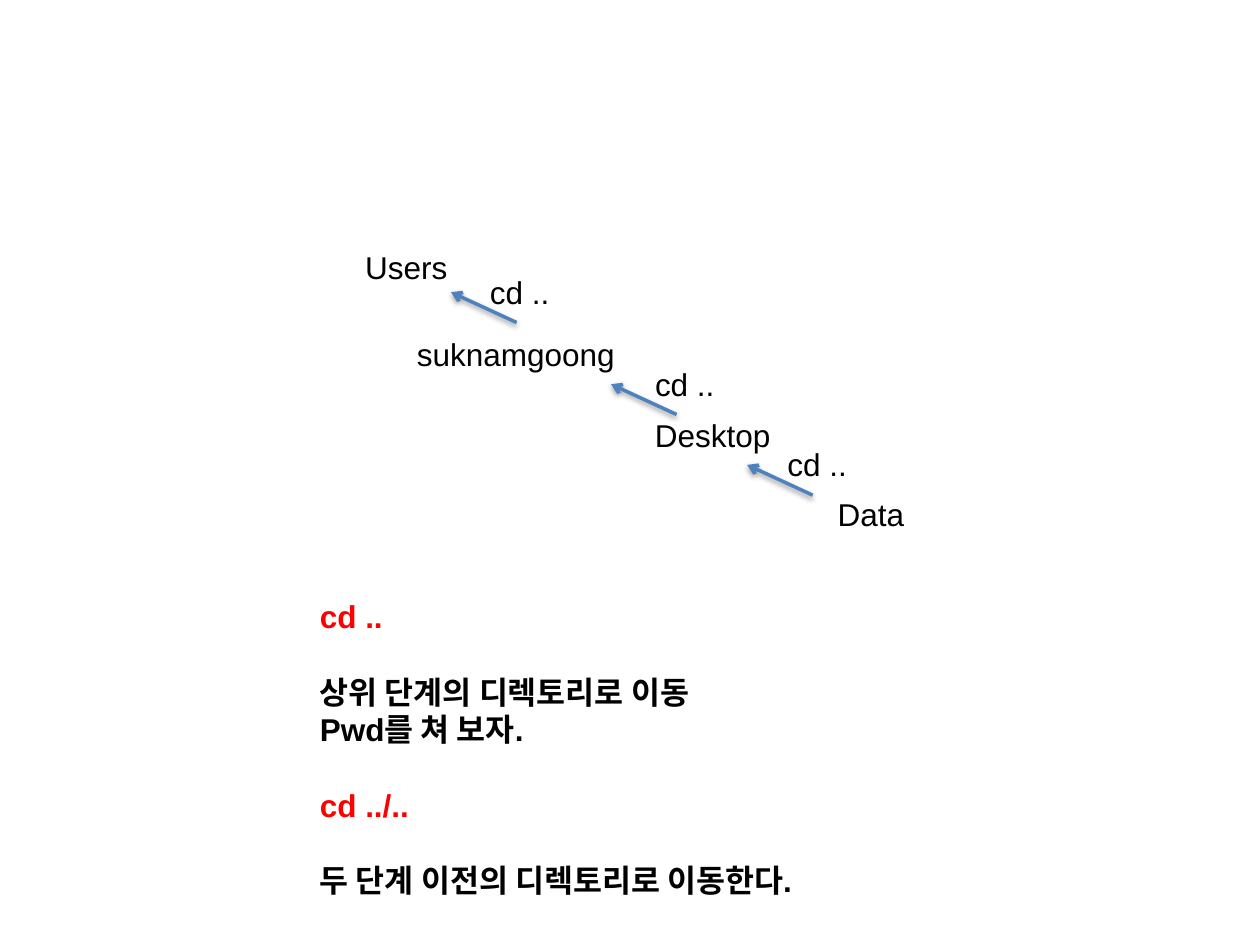
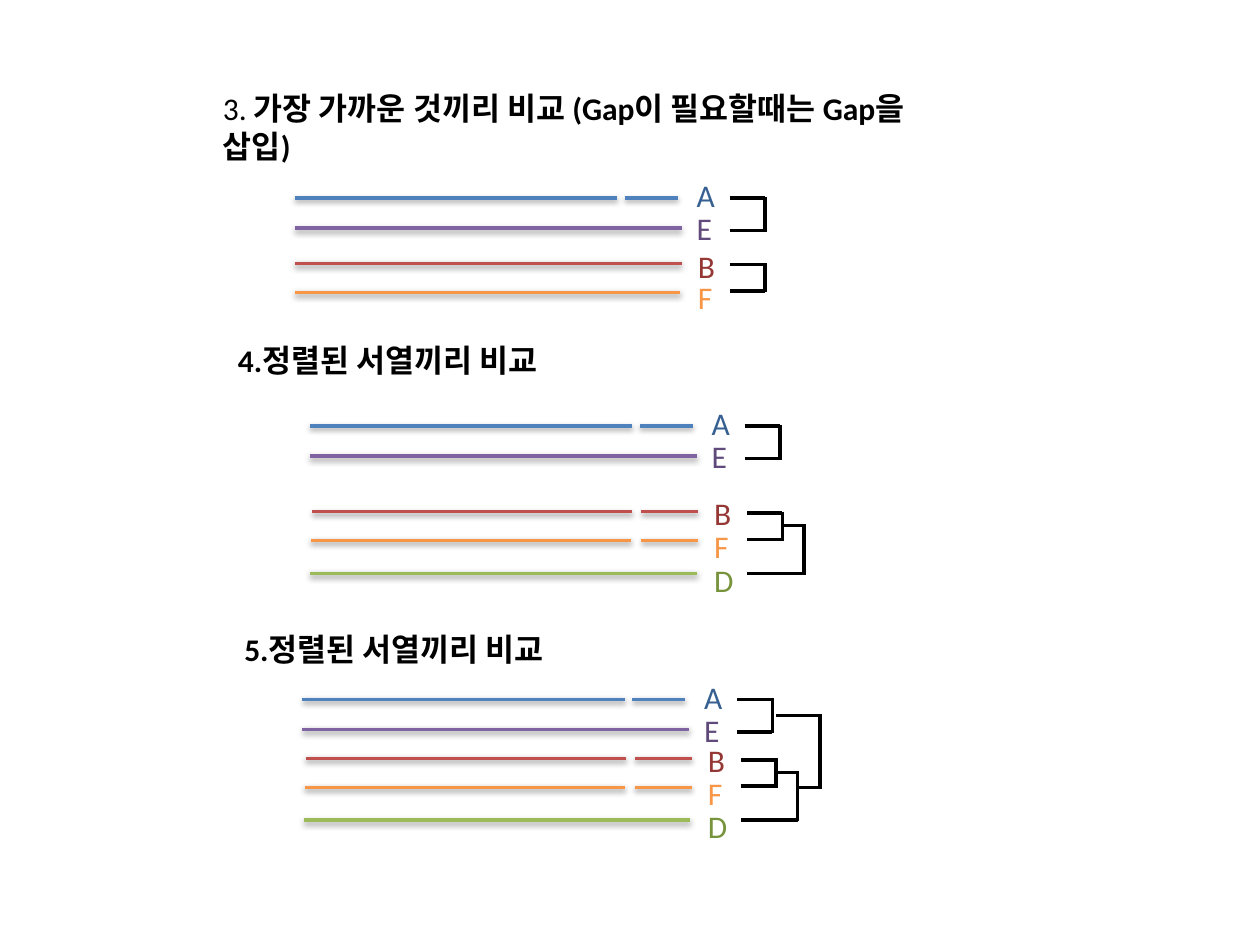
from lxml.etree import SubElement as Sub
from pptx import Presentation
from pptx.dml.color import RGBColor as Rgb
from pptx.enum.shapes import MSO_CONNECTOR as Con
from pptx.oxml.ns import qn
from pptx.util import Emu, Pt

# Shared look; lengths are px, 100 to the inch
SCALE = 9144
WIDE, HIGH = 1000, 750
BLACK, RED, BLUE = "000000", "FF0000", "4F81BD"
SANS = {"name": "Arial", "size": Pt(18)}
BODY = {"name": "Calibri", "size": Pt(18)}
BOLD = {"bold": True}
TALL = 40

# Slide 1: folders (text, x, y, width), steps and notes
DIRS = [("Users", 280, 192, 86), ("suknamgoong", 321, 261, 179),
        ("Desktop", 510, 325, 113), ("Data", 655, 388, 74)]
STEPS = [(379, 212), (510, 285), (615, 348)]
ARROWS = [(410, 256), (537, 329), (645, 393)]
RISE = (-52, -24)
UP = "cd .."
NOTES = [  # text, colour, space before in points
    ("cd ..", RED, 0),
    ("상위 단계의 디렉토리로 이동", BLACK, 21.5),
    ("Pwd를 쳐 보자.", BLACK, 0),
    ("cd ../..", RED, 21.5),
    ("두 단계 이전의 디렉토리로 이동한다.", BLACK, 21.5),
]

# Slide 2: headings (x, y, width, height, runs)
HEADS = [
    (167, 66, 609, 70, [("3. ", {}),
     ("가장 가까운 것끼리 비교 (Gap이 필요할때는 Gap을 삽입)", BOLD)]),
    (179, 266, 292, TALL, [("4.정렬된 서열끼리 비교", BOLD)]),
    (184, 495, 278, TALL, [("5.정렬된 서열끼리 비교", BOLD)]),
]
# Sequence: line colour, letter colour, letter width
SEQS = {"A": (BLUE, "376092", 35), "E": ("8064A2", "604A7B", 33),
        "B": ("C0504D", "953735", 34), "F": ("F79646", "F79646", 32),
        "D": ("9BBB59", "77933C", 32)}
# Group: letter column, rows (letter, y, letter y, spans),
# forks (top x, top y, low x, low y, right x)
PAIR = (309, [("A", 0, -22, [(0, 256), (262, 304)]),
              ("E", 24, 4, [(0, 307)])],
        [(345, 0, 345, 26, 373)])
DUO = (310, [("B", 0, -18, [(0, 307)]), ("F", 23, 7, [(0, 306)])],
       [(345, 1, 345, 22, 373)])
TRIO = (311, [("B", 0, -19, [(2, 256), (263, 308)]),
              ("F", 23, 7, [(1, 255), (263, 308)]),
              ("D", 49, 34, [(0, 307)])],
        [(347, 1, 347, 22, 375), (374, 11, 347, 49, 392)])
SETS = [(PAIR, 234, 157), (DUO, 234, 209), (PAIR, 246, 338),
        (TRIO, 246, 406), (PAIR, 240, 555), (TRIO, 241, 602)]
ROOT = (616, 568, 634, 625, 651)


def px(*vals):
    return [Emu(v * SCALE) for v in vals]


def ink(code):
    return Rgb.from_string(code)


def style(font, color, *sets):
    for fmt in sets:
        for key, val in fmt.items():
            setattr(font, key, val)
    font.color.rgb = ink(color)


def box(slide, x, y, w, h, wrap=False):
    frame = slide.shapes.add_textbox(*px(x, y, w, h)).text_frame
    frame.word_wrap = wrap
    return frame


def label(slide, text, x, y, w, base, color=BLACK):
    run = box(slide, x, y, w, TALL).paragraphs[0].add_run()
    run.text = text
    style(run.font, color, base)


def line(slide, x1, y1, x2, y2, color=BLACK, shade=False, head=False):
    con = slide.shapes.add_connector(Con.STRAIGHT, *px(x1, y1, x2, y2))
    con.line.color.rgb = ink(color)
    con.line.width = Pt(2)
    prop = con.element.spPr
    if head:
        Sub(prop.find(qn("a:ln")), qn("a:tailEnd"), type="arrow")
    fx = Sub(prop, qn("a:effectLst"))
    if shade:
        drop = Sub(fx, qn("a:outerShdw"), blurRad="40000", dist="20000",
                   dir="5400000", rotWithShape="0")
        tone = Sub(drop, qn("a:srgbClr"), val=BLACK)
        Sub(tone, qn("a:alpha"), val="38000")


def fork(slide, x1, top, x2, low, right):
    line(slide, x1, top, right, top)
    line(slide, x2, low, right, low)
    line(slide, right, top - 1, right, low + 1)


def group(slide, part, x, y):
    col, rows, forks = part
    for name, dy, ty, spans in rows:
        tint, tone, w = SEQS[name]
        for a, b in spans:
            line(slide, x + a, y + dy, x + b, y + dy, tint, shade=True)
        label(slide, name, x + col, y + ty, w, BODY, tone)
    for x1, top, x2, low, right in forks:
        fork(slide, x + x1, y + top, x + x2, y + low, x + right)


def tree(slide):
    frame = box(slide, 244, 469, 640, 252, wrap=True)
    for i, (text, color, gap) in enumerate(NOTES):
        para = frame.add_paragraph() if i else frame.paragraphs[0]
        if gap:
            para.space_before = Pt(gap)
        run = para.add_run()
        run.text = text
        style(run.font, color, SANS, BOLD)
    for text, x, y, w in DIRS:
        label(slide, text, x, y, w, SANS)
    for x, y in STEPS:
        label(slide, UP, x, y, 68, SANS)
    for x, y in ARROWS:
        line(slide, x, y, x + RISE[0], y + RISE[1], BLUE, True, True)


def align(slide):
    for x, y, w, h, runs in HEADS:
        para = box(slide, x, y, w, h, wrap=True).paragraphs[0]
        for text, fmt in runs:
            run = para.add_run()
            run.text = text
            style(run.font, BLACK, BODY, fmt)
    for part, x, y in SETS:
        group(slide, part, x, y)
    fork(slide, *ROOT)


def main():
    deck = Presentation()
    deck.slide_width, deck.slide_height = px(WIDE, HIGH)
    blank = deck.slide_layouts[6]
    for draw in (tree, align):
        draw(deck.slides.add_slide(blank))
    deck.save("out.pptx")


if __name__ == "__main__":
    main()
